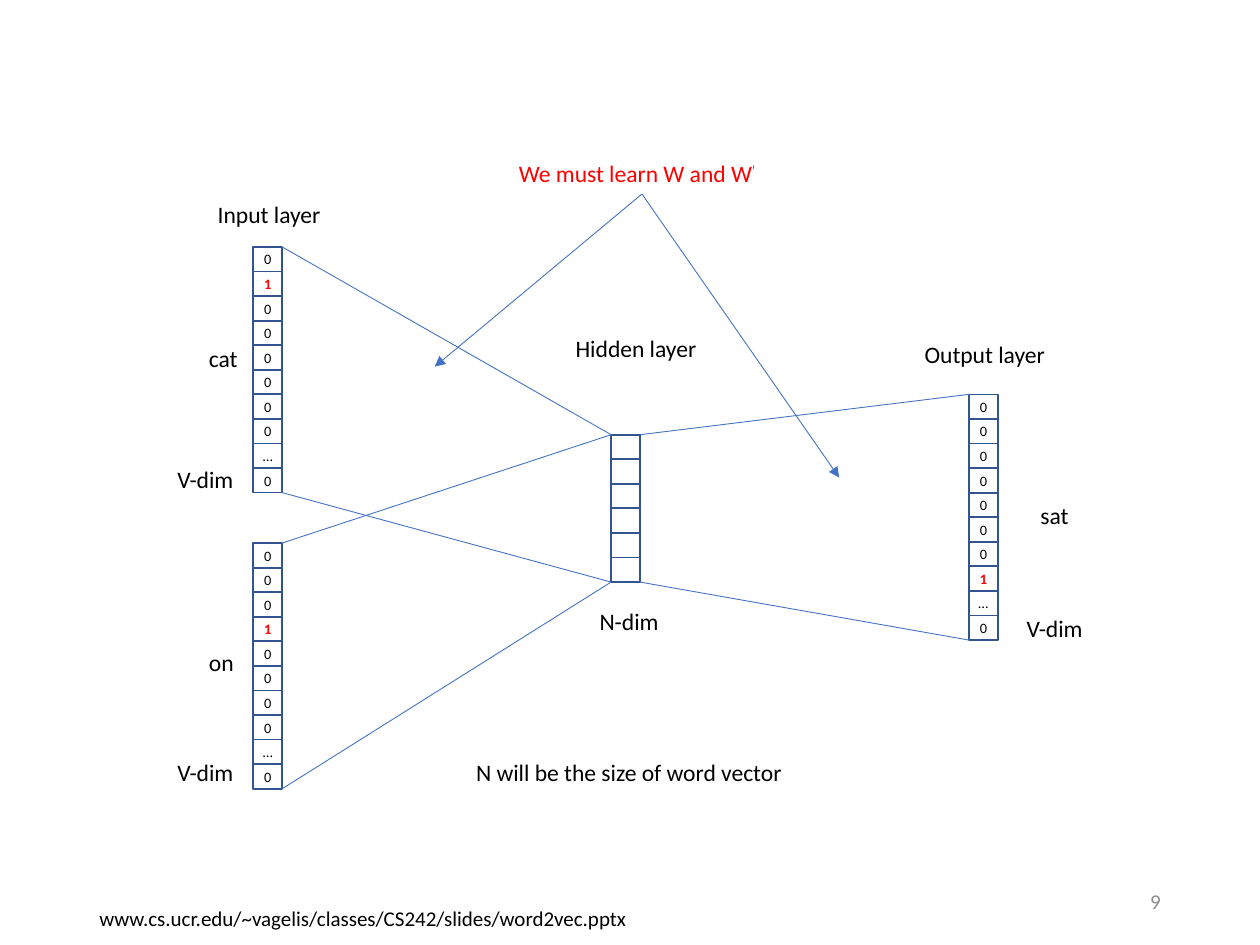
from dataclasses import dataclass

from lxml import etree
from pptx import Presentation
from pptx.dml.color import RGBColor
from pptx.enum.shapes import MSO_CONNECTOR, MSO_SHAPE
from pptx.enum.text import MSO_ANCHOR, MSO_AUTO_SIZE, PP_ALIGN
from pptx.oxml.ns import qn
from pptx.util import Inches, Pt

COLORS = {"text": "000000", "highlight": "FF0000", "cell": "325491",
          "link": "4472C4", "number": "8C8C8C"}
CELL_WIDTH = 0.23
CELL_HEIGHT = 0.195
BOTTOM_SIDE = 2


@dataclass
class Layer:
    left: float
    top: float
    values: list

    @property
    def right(self):
        return self.left + CELL_WIDTH

    @property
    def bottom(self):
        return self.top + CELL_HEIGHT * len(self.values)


def color(key):
    return RGBColor.from_string(COLORS[key])


def add_run(paragraph, text, color_key="text", **formats):
    run = paragraph.add_run()
    run.text = text
    for attribute, value in {"name": "Calibri", **formats}.items():
        setattr(run.font, attribute, value)
    run.font.color.rgb = color(color_key)
    return run


def add_label(slide, text, left, top, width, height=0.33, size=13.5, color_key="text"):
    label = slide.shapes.add_textbox(*map(Inches, (left, top, width, height)))
    label.text_frame.word_wrap = False
    label.text_frame.auto_size = MSO_AUTO_SIZE.SHAPE_TO_FIT_TEXT
    add_run(label.text_frame.paragraphs[0], text, color_key, size=Pt(size))
    return label


def add_page_number(slide, number):
    box = slide.shapes.add_textbox(*map(Inches, (7.06, 6.95, 2.25, 0.4)))
    frame = box.text_frame
    frame.word_wrap = True
    frame.vertical_anchor = MSO_ANCHOR.MIDDLE
    frame.paragraphs[0].alignment = PP_ALIGN.RIGHT
    add_run(frame.paragraphs[0], number, "number", size=Pt(12))


def add_layer(slide, layer):
    """Draw the vector as a grouped column of cells; a 1 stands out."""
    group = slide.shapes.add_group_shape()
    for row, value in enumerate(layer.values):
        top = layer.top + row * CELL_HEIGHT
        cell = group.shapes.add_shape(
            MSO_SHAPE.RECTANGLE,
            *map(Inches, (layer.left, top, CELL_WIDTH, CELL_HEIGHT)))
        cell.shadow.inherit = False
        cell.fill.background()
        cell.line.color.rgb = color("cell")
        cell.line.width = Pt(1)
        if not value:
            continue
        frame = cell.text_frame
        cell_format = {"margin_left": 0, "margin_right": 0, "margin_top": 0,
                       "margin_bottom": 0, "word_wrap": False,
                       "vertical_anchor": MSO_ANCHOR.MIDDLE}
        for attribute, setting in cell_format.items():
            setattr(frame, attribute, setting)
        frame.paragraphs[0].alignment = PP_ALIGN.CENTER
        hot = value == "1"
        add_run(frame.paragraphs[0], value, "highlight" if hot else "text",
                size=Pt(8.2), bold=hot)


def add_link(slide, start, end, arrow=False):
    link = slide.shapes.add_connector(
        MSO_CONNECTOR.STRAIGHT, *map(Inches, (*start, *end)))
    link.line.color.rgb = color("link")
    link.line.width = Pt(0.5)
    if arrow:
        etree.SubElement(link.line._get_or_add_ln(), qn("a:tailEnd"), type="triangle")
    etree.SubElement(link._element.spPr, qn("a:effectLst"))
    return link


def join_layers(slide, source, target):
    """Link the facing top corners and the facing bottom corners."""
    add_link(slide, (source.right, source.top), (target.left, target.top))
    add_link(slide, (source.right, source.bottom), (target.left, target.bottom))


def add_message(slide):
    message = add_label(slide, "We must learn W and W", 4.02, 1.21, 2.15,
                        color_key="highlight")
    prime = add_run(message.text_frame.paragraphs[0], "’", "highlight", size=Pt(13.5))
    prime._r.get_or_add_rPr().set("baseline", "30000")
    for weights_spot in ((3.45, 2.91), (6.66, 3.79)):
        arrow = add_link(slide, (5.1, 1.54), weights_spot, arrow=True)
        arrow.begin_connect(message, BOTTOM_SIDE)


def main():
    presentation = Presentation()
    presentation.slide_width = Inches(10)
    presentation.slide_height = Inches(7.5)
    slide = presentation.slides.add_slide(presentation.slide_layouts[6])

    cat = Layer(2.01, 1.96, list("01000000…0"))
    on = Layer(2.01, 4.31, list("00010000…0"))
    hidden = Layer(4.85, 3.45, [""] * 6)
    sat = Layer(7.69, 3.13, list("00000001…0"))
    for layer in (cat, on, hidden, sat):
        add_layer(slide, layer)
    for source, target in ((cat, hidden), (on, hidden), (hidden, sat)):
        join_layers(slide, source, target)

    labels = [
        ("Input layer", 1.63, 1.54, 1.03),
        ("Hidden layer", 4.47, 2.6, 1.18),
        ("Output layer", 7.24, 2.65, 1.17),
        ("cat", 1.56, 2.68, 0.43),
        ("on", 1.56, 5.09, 0.4),
        ("sat", 8.16, 3.93, 0.43),
        ("V-dim", 1.31, 3.64, 0.66),
        ("V-dim", 1.31, 5.97, 0.66),
        ("N-dim", 4.66, 4.77, 0.68),
        ("V-dim", 8.05, 4.82, 0.66),
        ("N will be the size of word vector", 3.68, 5.97, 2.66),
    ]
    for label in labels:
        add_label(slide, *label)
    add_message(slide)
    add_label(slide, "www.cs.ucr.edu/~vagelis/classes/CS242/slides/word2vec.pptx",
              0.69, 7.14, 4.44, height=0.3, size=12)
    add_page_number(slide, "9")
    presentation.save("out.pptx")


if __name__ == "__main__":
    main()
